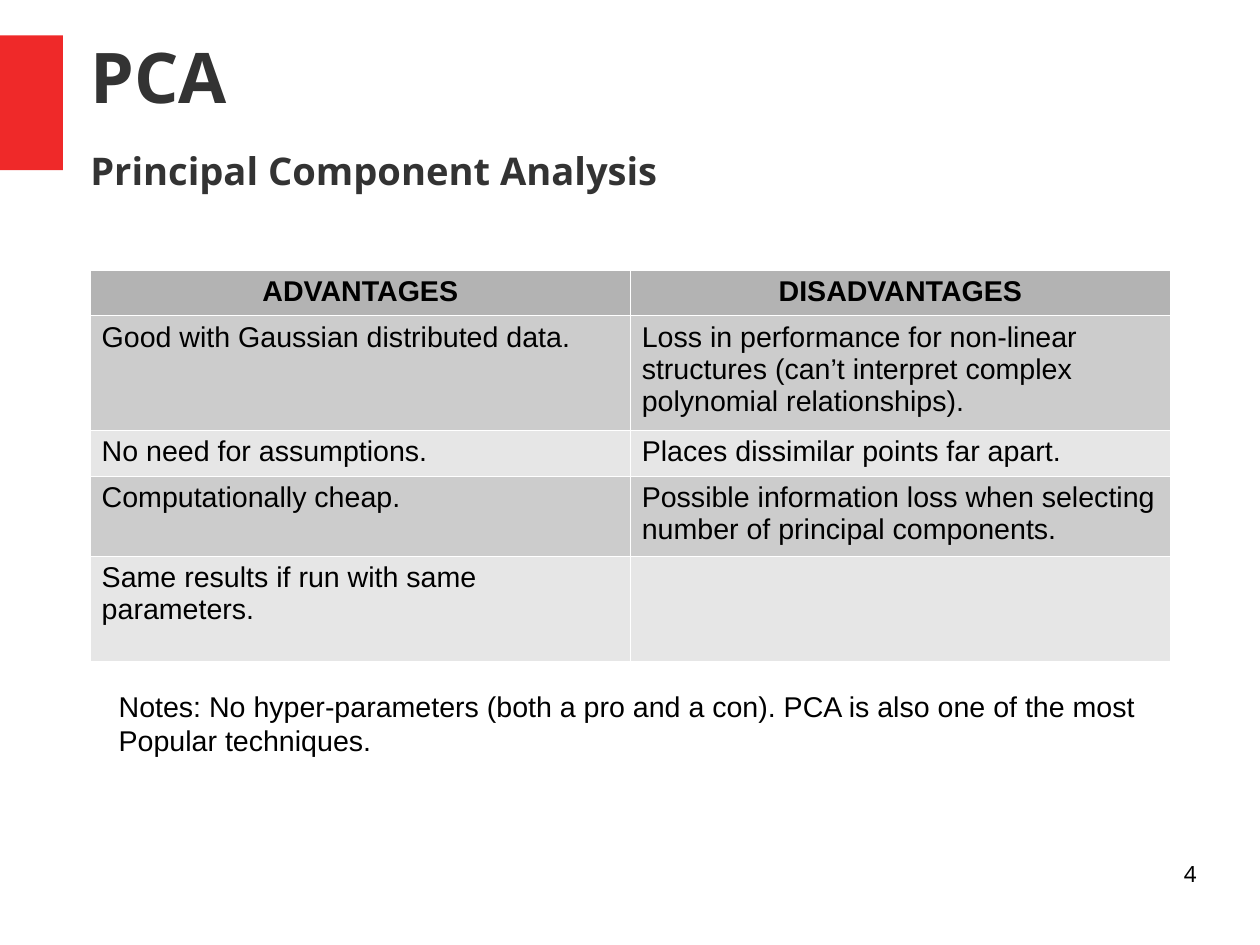
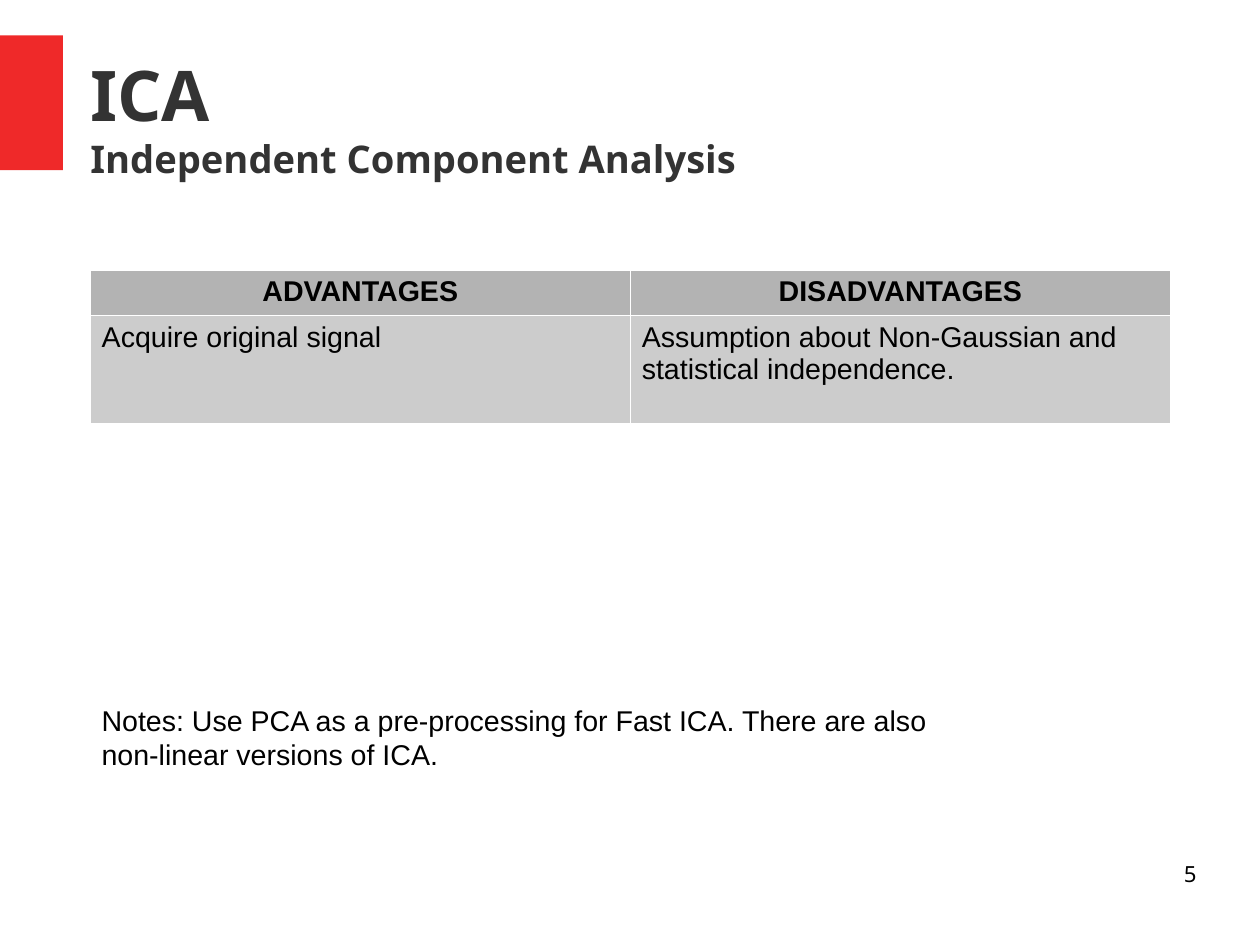
from lxml.etree import SubElement
from pptx import Presentation
from pptx.dml.color import RGBColor
from pptx.enum.shapes import MSO_SHAPE
from pptx.enum.text import MSO_ANCHOR as ANCHOR, PP_ALIGN as ALIGN
from pptx.oxml.ns import qn
from pptx.util import Cm, Inches, Pt

RED = RGBColor(0xEF, 0x29, 0x29)
DARK = RGBColor(0x33, 0x33, 0x33)
BLACK = RGBColor(0x00, 0x00, 0x00)
HEAD_FILL = RGBColor(0xB3, 0xB3, 0xB3)
BAND_FILLS = (RGBColor(0xCC, 0xCC, 0xCC), RGBColor(0xE6, 0xE6, 0xE6))
BORDER = RGBColor(0xFF, 0xFF, 0xFF)

TITLE_FONT, BODY_FONT = "Noto Sans", "Arial"
SLIDE_W, SLIDE_H = Cm(28), Cm(21)
LEFT, CONTENT_W = 0.79, 9.45
HEADERS = ("ADVANTAGES", "DISADVANTAGES")


def write(p, text, size=18, font=BODY_FONT, color=BLACK, bold=False,
          align=ALIGN.LEFT, before=0):
    p.alignment, p.space_before = align, Pt(before)
    r = p.add_run()
    r.text = text
    r.font.size, r.font.name, r.font.bold = Pt(size), font, bold
    r.font.color.rgb = color


def add_box(s, box, inset=(0, 0), anchor=ANCHOR.TOP):
    """Add an empty wrapping text box and return its text frame."""
    tf = s.shapes.add_textbox(*map(Inches, box)).text_frame
    tf.word_wrap, tf.vertical_anchor = True, anchor
    tf.margin_left = tf.margin_right = Inches(inset[0])
    tf.margin_top = tf.margin_bottom = Inches(inset[1])
    return tf


def add_side_bar(s):
    bar = s.shapes.add_shape(MSO_SHAPE.RECTANGLE,
                             *map(Inches, (0, 0.31, 0.55, 1.18)))
    bar.shadow.inherit = False
    bar.fill.solid()
    bar.fill.fore_color.rgb = RED
    bar.line.fill.background()


def add_title(s, box, short, full, gap):
    tf = add_box(s, box, anchor=ANCHOR.MIDDLE)
    style = dict(font=TITLE_FONT, color=DARK, bold=True)
    write(tf.paragraphs[0], short, size=44, **style)
    write(tf.add_paragraph(), full, size=24, before=gap, **style)


def add_page_number(s, number):
    tf = add_box(s, (7.9, 7.53, 2.57, 0.57))
    write(tf.paragraphs[0], str(number), size=14, font=TITLE_FONT,
          align=ALIGN.RIGHT)


def set_borders(cell):
    tc_pr = cell._tc.get_or_add_tcPr()
    for side in ("lnL", "lnR", "lnT", "lnB"):
        ln = SubElement(tc_pr, qn(f"a:{side}"), w=str(Pt(0.06)))
        fill = SubElement(ln, qn("a:solidFill"))
        SubElement(fill, qn("a:srgbClr"), val=str(BORDER))


def add_comparison(s, box, heights, rows):
    """Two equal columns under a header row, with alternating bands."""
    left, top, width = box
    table = s.shapes.add_table(
        len(heights), len(HEADERS), Inches(left), Inches(top),
        Inches(width), Inches(sum(heights))).table
    table.first_row = table.horz_banding = False
    for row, height in zip(table.rows, heights):
        row.height = Inches(height)
    for i, texts in enumerate((HEADERS, *rows)):
        for j, text in enumerate(texts):
            cell = table.cell(i, j)
            set_borders(cell)
            cell.fill.solid()
            cell.fill.fore_color.rgb = BAND_FILLS[(i - 1) % 2] if i else HEAD_FILL
            if text:
                write(cell.text_frame.paragraphs[0], text, bold=i == 0,
                      align=ALIGN.LEFT if i else ALIGN.CENTER)


def add_notes(s, box, lines):
    tf = add_box(s, box, inset=(0.1, 0.05))
    for i, text in enumerate(lines):
        write(tf.add_paragraph() if i else tf.paragraphs[0], text)


def add_method_slide(prs, number, title, heights, rows, notes_box, notes):
    s = prs.slides.add_slide(prs.slide_layouts[6])
    add_side_bar(s)
    add_title(s, **title)
    add_comparison(s, (LEFT, 2.36, CONTENT_W), heights, rows)
    add_notes(s, notes_box, notes)
    add_page_number(s, number)


def main():
    prs = Presentation()
    prs.slide_width, prs.slide_height = SLIDE_W, SLIDE_H
    add_method_slide(
        prs, 4,
        title=dict(box=(LEFT, 0.16, 9.68, 1.67), short="PCA",
                   full="Principal Component Analysis", gap=19),
        heights=(0.4, 1.0, 0.4, 0.7, 0.92),
        rows=(
            ("Good with Gaussian distributed data.",
             "Loss in performance for non-linear structures "
             "(can’t interpret complex polynomial relationships)."),
            ("No need for assumptions.", "Places dissimilar points far apart."),
            ("Computationally cheap.",
             "Possible information loss when selecting number of "
             "principal components."),
            ("Same results if run with same parameters.", ""),
        ),
        notes_box=(0.94, 5.98, 9.3, 0.66),
        notes=("Notes: No hyper-parameters (both a pro and a con). "
               "PCA is also one of the most", "Popular techniques."))
    add_method_slide(
        prs, 5,
        title=dict(box=(LEFT, 0.33, 9.68, 1.38), short="ICA",
                   full="Independent Component Analysis", gap=0),
        heights=(0.4, 0.94),
        rows=(("Acquire original signal",
               "Assumption about Non-Gaussian and statistical independence."),),
        notes_box=(LEFT, 6.1, 7.64, 0.66),
        notes=("Notes: Use PCA as a pre-processing for Fast ICA. "
               "There are also non-linear versions of ICA.",))
    prs.save("out.pptx")


if __name__ == "__main__":
    main()
